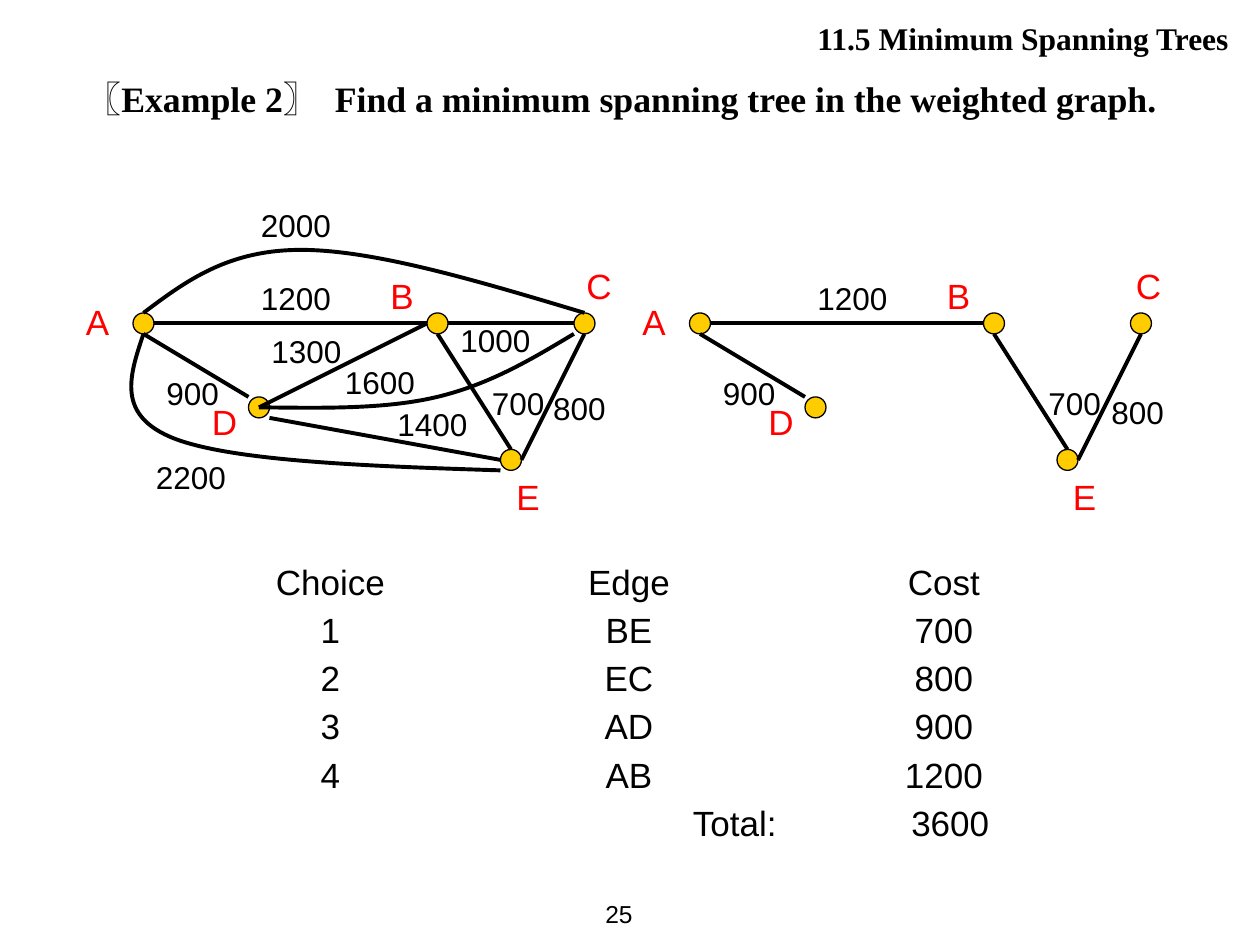
from lxml.etree import SubElement
from pptx import Presentation
from pptx.dml.color import RGBColor
from pptx.enum.shapes import MSO_CONNECTOR, MSO_SHAPE
from pptx.enum.text import MSO_ANCHOR, PP_ALIGN
from pptx.oxml.ns import qn
from pptx.util import Emu, Inches, Pt

BLACK = RGBColor(0x00, 0x00, 0x00)
RED = RGBColor(0xFF, 0x00, 0x00)
GOLD = RGBColor(0xFF, 0xCC, 0x00)
CELLS_PER_INCH = 36
RADIUS = 3
TREE_SHIFT = 159

NODES = {"A": (41, 92.4), "B": (125, 92.4), "C": (167, 92.4), "D": (74, 116.4), "E": (146, 131.4)}
SIDES = {
    "center": (0, 0), "left": (-1, 0), "right": (1, 0), "top": (0, -1), "bottom": (0, 1),
    "top left": (-1, -1), "bottom left": (-1, 1), "bottom right": (1, 1),
}
TREE_EDGES = [
    ("A", "right", "B", "left"), ("A", "bottom", "D", "top left"),
    ("E", "right", "C", "bottom"), ("B", "bottom", "E", "top"),
]
GRAPH_EDGES = TREE_EDGES + [
    ("B", "right", "C", "left"), ("D", "bottom right", "E", "left"), ("D", "center", "B", "left"),
]
GRAPH_CURVES = [
    ("A", "top", "C", "top", [(53, 80.4), (65, 71.4), (86, 71.4), (107, 71.4), (137, 80.4)]),
    ("A", "bottom", "E", "bottom left", [(37, 107.4), (33, 118.8), (50, 125.4), (67, 131.8), (105, 133.2)]),
    ("D", "center", "C", "bottom left", [(92, 116.6), (110, 117), (125, 113.4), (140, 109.8), (152, 102.6)]),
]
NAME_PLACES = {"A": (21, 84), "B": (108, 76.7), "C": (164, 73.8), "D": (57, 112.7), "E": (144, 134)}
TREE_WEIGHTS = {"1200": (71, 78), "900": (44, 105), "700": (137, 108), "800": (155, 110.5)}
GRAPH_WEIGHTS = TREE_WEIGHTS | {
    "2000": (71, 57), "1000": (128, 90), "1300": (74, 93), "1600": (95, 102),
    "1400": (110, 114), "2200": (41, 129), "800": (154.5, 109.5),
}
CHOICES = [
    ("Choice", "Edge", "Cost"), ("1", "BE", "700"), ("2", "EC", "800"),
    ("3", "AD", "900"), ("4", "AB", "1200"),
]
CHOICE_STOPS = (0.44, 2.81, 5.31)
TOTAL_STOPS = (3.65, 5.36)


def grid(cells):
    return Inches(cells / CELLS_PER_INCH)


def anchor(node, side, shift):
    column, row = NODES[node]
    across, down = SIDES[side]
    return column + across * RADIUS + shift, row + down * RADIUS


def add_box(shapes, column, row, columns, rows):
    box = shapes.add_textbox(grid(column), grid(row), grid(columns), grid(rows))
    box.text_frame.word_wrap = True
    return box


def add_span(para, words, size, color=BLACK, font="Arial", bold=False):
    span = para.add_run()
    span.text = words
    span.font.name = font
    span.font.size = Pt(size)
    span.font.bold = bold
    span.font.color.rgb = color


def add_label(shapes, words, place, columns, rows, size, color=BLACK):
    box = add_box(shapes, *place, columns, rows)
    add_span(box.text_frame.paragraphs[0], words, size, color)


def add_node(shapes, node, shift):
    column, row = anchor(node, "top left", shift)
    circle = shapes.add_shape(MSO_SHAPE.OVAL, grid(column), grid(row), grid(2 * RADIUS), grid(2 * RADIUS))
    circle.shadow.inherit = False
    circle.fill.solid()
    circle.fill.fore_color.rgb = GOLD
    circle.line.color.rgb = BLACK
    circle.line.width = Pt(0.75)


def style_edge(edge):
    edge.line.color.rgb = BLACK
    edge.line.width = Pt(2.25)


def add_edge(shapes, start, end):
    edge = shapes.add_connector(MSO_CONNECTOR.STRAIGHT, *map(grid, start + end))
    style_edge(edge)
    SubElement(edge._element.spPr, qn("a:effectLst"))


def add_curve(shapes, points):
    corners = [(grid(column), grid(row)) for column, row in points]
    builder = shapes.build_freeform(*corners[0])
    builder.add_line_segments(corners[1:], close=False)
    curve = builder.convert_to_shape()
    curve.shadow.inherit = False
    curve.fill.background()
    style_edge(curve)
    outline = curve._element.find(".//" + qn("a:path"))
    segments = outline.findall(qn("a:lnTo"))
    for first in range(0, len(segments), 3):
        bend = SubElement(outline, qn("a:cubicBezTo"))
        for segment in segments[first:first + 3]:
            bend.append(segment[0])
            outline.remove(segment)


def add_graph(shapes, edges, curves, names, weights, shift=0):
    for node in NODES:
        add_node(shapes, node, shift)
    for start, start_side, end, end_side in edges:
        add_edge(shapes, anchor(start, start_side, shift), anchor(end, end_side, shift))
    for start, start_side, end, end_side, bends in curves:
        inner = [(column + shift, row) for column, row in bends]
        add_curve(shapes, [anchor(start, start_side, shift), *inner, anchor(end, end_side, shift)])
    for weight, (column, row) in weights.items():
        add_label(shapes, weight, (column + shift, row), 30, 14.4, 18)
    for name, (column, row) in names.items():
        add_label(shapes, name, (column + shift, row), 18, 15.8, 20, RED)


def add_tabbed_row(para, words, stops):
    tabs = SubElement(para._p.get_or_add_pPr(), qn("a:tabLst"))
    for stop in stops:
        SubElement(tabs, qn("a:tab"), pos=str(Inches(stop)), algn="ctr")
    add_span(para, "".join("\t" + word for word in words), 20)


def add_choices(page):
    frame = add_box(page.shapes, 75, 158.4, 228, 82).text_frame
    rows = [(words, CHOICE_STOPS) for words in CHOICES] + [(("Total:", "3600"), TOTAL_STOPS)]
    for index, (words, stops) in enumerate(rows):
        para = frame.add_paragraph() if index else frame.paragraphs[0]
        if index:
            para.space_before = Pt(3.5)
        add_tabbed_row(para, words, stops)


def add_heading(page):
    para = add_box(page.shapes, 143, 3.6, 211.6, 14).text_frame.paragraphs[0]
    para.alignment = PP_ALIGN.RIGHT
    add_span(para, "11.5 Minimum Spanning Trees", 18, font="Times New Roman", bold=True)


def add_task(page):
    para = add_box(page.shapes, 18.4, 21.6, 317.5, 25.6).text_frame.paragraphs[0]
    para.line_spacing = 0.9
    properties = para._p.get_or_add_pPr()
    properties.set("marL", str(Inches(0.38)))
    properties.set("indent", str(Inches(-0.31)))
    words = "〖Example 2〗  Find a minimum spanning tree in the weighted graph."
    add_span(para, words, 20.4, font="Times New Roman", bold=True)


def add_page_number(page):
    box = add_box(page.shapes, 160.2, 252, 24.1, 18)
    box.text_frame.vertical_anchor = MSO_ANCHOR.MIDDLE
    para = box.text_frame.paragraphs[0]
    para.alignment = PP_ALIGN.RIGHT
    add_span(para, "25", 14)


def main():
    deck = Presentation()
    deck.slide_width, deck.slide_height = Inches(10), Inches(7.5)
    page = deck.slides.add_slide(deck.slide_layouts[6])
    add_page_number(page)
    tree_names = NAME_PLACES | {"C": (162, 73.8)}
    add_graph(page.shapes, TREE_EDGES, [], tree_names, TREE_WEIGHTS, TREE_SHIFT)
    add_choices(page)
    add_task(page)
    graph = page.shapes.add_group_shape()
    add_graph(graph.shapes, GRAPH_EDGES, GRAPH_CURVES, NAME_PLACES, GRAPH_WEIGHTS)
    add_heading(page)
    deck.save("out.pptx")


if __name__ == "__main__":
    main()
